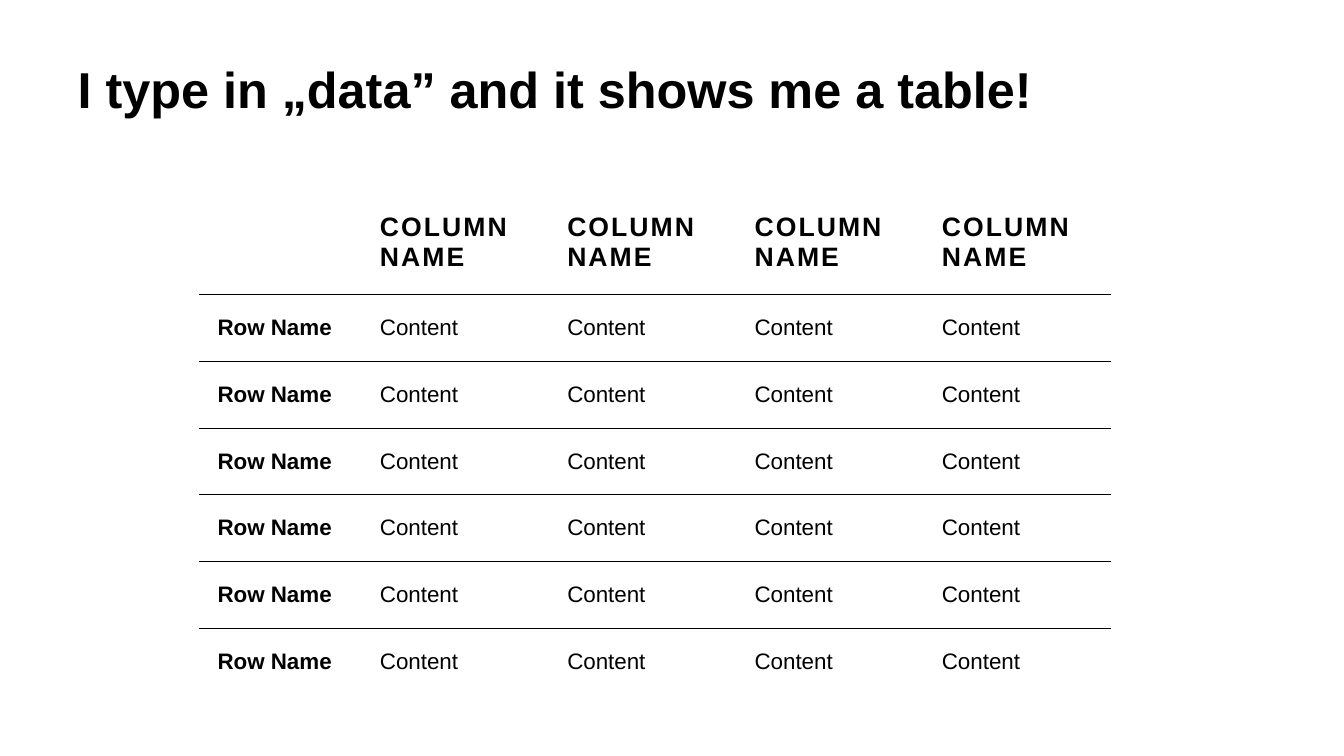
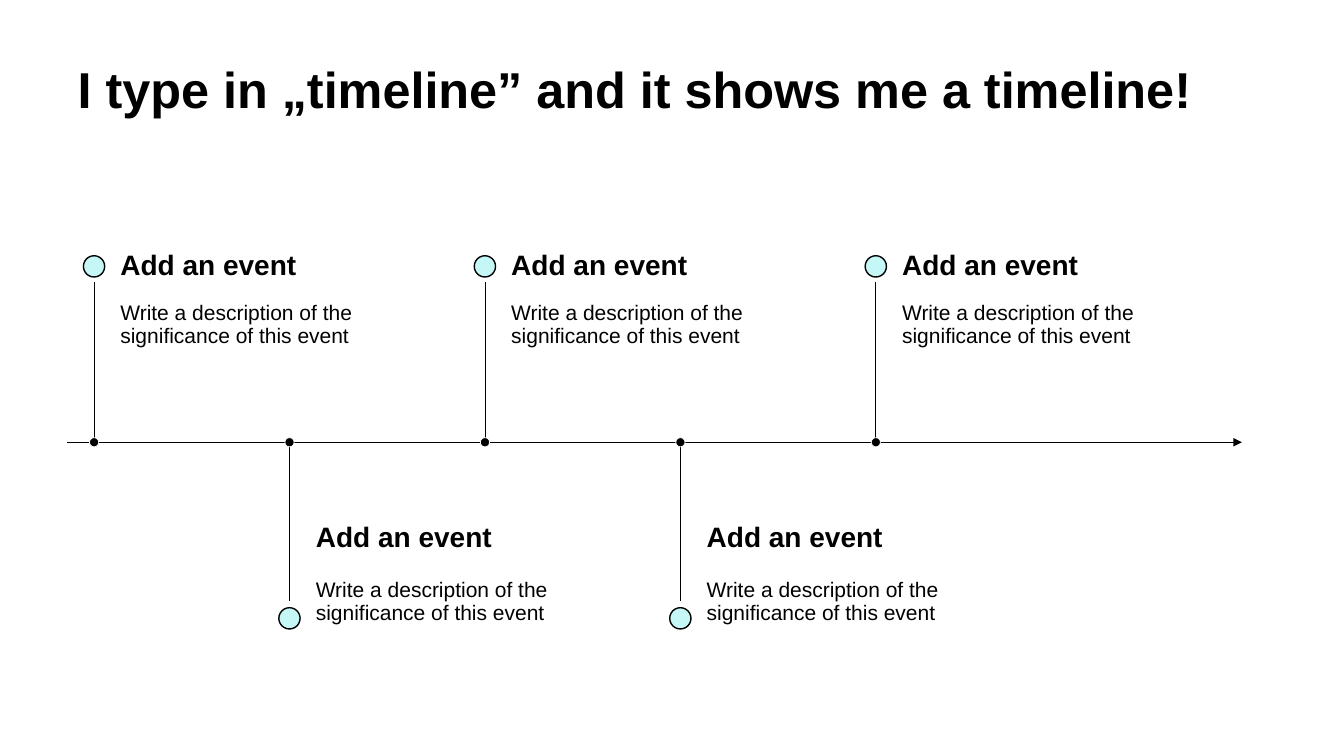
"""Build two slides: a data table and a timeline of events."""
from dataclasses import dataclass

from lxml.etree import SubElement
from pptx import Presentation
from pptx.dml.color import RGBColor
from pptx.enum.shapes import MSO_CONNECTOR, MSO_SHAPE
from pptx.enum.text import MSO_ANCHOR
from pptx.oxml import parse_xml
from pptx.oxml.ns import nsdecls, qn
from pptx.util import Pt


@dataclass(frozen=True)
class Theme:
    font: str = "Arial"
    ink: RGBColor = RGBColor(0x00, 0x00, 0x00)
    paper: RGBColor = RGBColor(0xFF, 0xFF, 0xFF)
    accent: RGBColor = RGBColor(0xC5, 0xF7, 0xF6)
    title: int = 36
    event: int = 20
    header: int = 19
    cell: int = 16
    description: int = 15
    hairline: float = 0.5
    rule: float = 1


theme = Theme()


def write(tf, text, size, bold=False, spacing=None):
    """Fill a text frame with one paragraph in the theme font."""
    p = tf.paragraphs[0]
    r = p.add_run()
    r.text = text
    p.line_spacing = spacing
    p.font.name = theme.font
    p.font.size = Pt(size)
    p.font.bold = bold
    p.font.color.rgb = theme.ink
    return r


def add_text(s, box, text, size, bold=False, insets=(7.2, 3.6, 7.2, 3.6), anchor=MSO_ANCHOR.TOP):
    """Add a wrapped text box; box and insets are in points."""
    tf = s.shapes.add_textbox(*map(Pt, box)).text_frame
    tf.word_wrap = True
    tf.vertical_anchor = anchor
    tf.margin_left, tf.margin_top, tf.margin_right, tf.margin_bottom = map(Pt, insets)
    write(tf, text, size, bold, 0.9)


prs = Presentation()
prs.slide_width, prs.slide_height = Pt(960), Pt(540)

titles = [
    "I type in „data” and it shows me a table!",
    "I type in „timeline” and it shows me a timeline!",
]
for title in titles:
    s = prs.slides.add_slide(prs.slide_layouts[6])
    add_text(s, (48.4, 43.2, 838.8, 89.3), title, theme.title, bold=True)
table_slide, timeline_slide = prs.slides

rows = [["", *["COLUMN NAME"] * 4]] + [["Row Name", *["Content"] * 4]] * 6
col_widths = [116, *[133.8] * 4]
row_heights = [75, *[47.7] * 6]
frame = table_slide.shapes.add_table(
    len(rows), len(col_widths), Pt(142.4), Pt(135.4), Pt(sum(col_widths)), Pt(sum(row_heights)))
no_style = "{2D5ABB26-0587-4C30-8999-92F81FD0307C}"
frame.element.xpath(".//a:tableStyleId")[0].text = no_style
table = frame.table
table.horz_banding = False
for column, width in zip(table.columns, col_widths):
    column.width = Pt(width)
for i, (row, height) in enumerate(zip(rows, row_heights)):
    table.rows[i].height = Pt(height)
    for j, text in enumerate(row):
        cell = table.cell(i, j)
        cell.vertical_anchor = MSO_ANCHOR.MIDDLE
        cell.margin_left = cell.margin_top = cell.margin_right = cell.margin_bottom = Pt(13)
        cell.fill.background()
        if i < len(rows) - 1:
            cell._tc.get_or_add_tcPr().insert(0, parse_xml(
                f'<a:lnB {nsdecls("a")} w="{Pt(theme.hairline)}"><a:solidFill>'
                f'<a:srgbClr val="{theme.ink}"/></a:solidFill></a:lnB>'))
        if text:
            size = theme.cell if i else theme.header
            r = write(cell.text_frame, text, size, bold=i == 0 or j == 0)
            if i == 0:
                r._r.get_or_add_rPr().set("spc", "150")

axis_y = 315.9
first_x, step = 67.2, 139.6
event_count = 5
above = dict(marker=190.3, stem=201.6, title=(171.4, 37.4),
             description=(208.8, 107.1), insets=(0, 7.2, 7.2, 11.5))
below = dict(marker=441.7, stem=429.1, title=(366.5, 36),
             description=(402.5, 57.6), insets=(0, 11.5, 0, 7.2))
events = [(first_x + step * i, below if i % 2 else above) for i in range(event_count)]

lines = [(48.2, axis_y, 887, axis_y, theme.rule)]
lines += [(x, axis_y, x, side["stem"], theme.hairline) for x, side in events]
for *ends, weight in lines:
    line = timeline_slide.shapes.add_connector(MSO_CONNECTOR.STRAIGHT, *map(Pt, ends))
    line.line.color.rgb = theme.ink
    line.line.width = Pt(weight)
    spPr = line.element.spPr
    if weight == theme.rule:
        SubElement(spPr.find(qn("a:ln")), qn("a:tailEnd"), type="triangle")
    SubElement(spPr, qn("a:effectLst"))

for x, side in events:
    circles = [
        (side["marker"], 15.2, theme.accent, theme.ink, theme.rule),
        (axis_y, 6.6, theme.ink, theme.paper, theme.hairline),
    ]
    for y, size, fill, outline, weight in circles:
        sp = timeline_slide.shapes.add_shape(
            MSO_SHAPE.OVAL, Pt(x - size / 2), Pt(y - size / 2), Pt(size), Pt(size))
        sp.shadow.inherit = False
        sp.fill.solid()
        sp.fill.fore_color.rgb = fill
        sp.line.color.rgb = outline
        sp.line.width = Pt(weight)

    left, width = x + 18.8, 232.6
    top, height = side["title"]
    add_text(timeline_slide, (left, top, width, height), "Add an event", theme.event,
             bold=True, insets=(0, 0, 10, 0), anchor=MSO_ANCHOR.MIDDLE)
    top, height = side["description"]
    add_text(timeline_slide, (left, top, width, height),
             "Write a description of the significance of this event",
             theme.description, insets=side["insets"])

prs.save("out.pptx")
